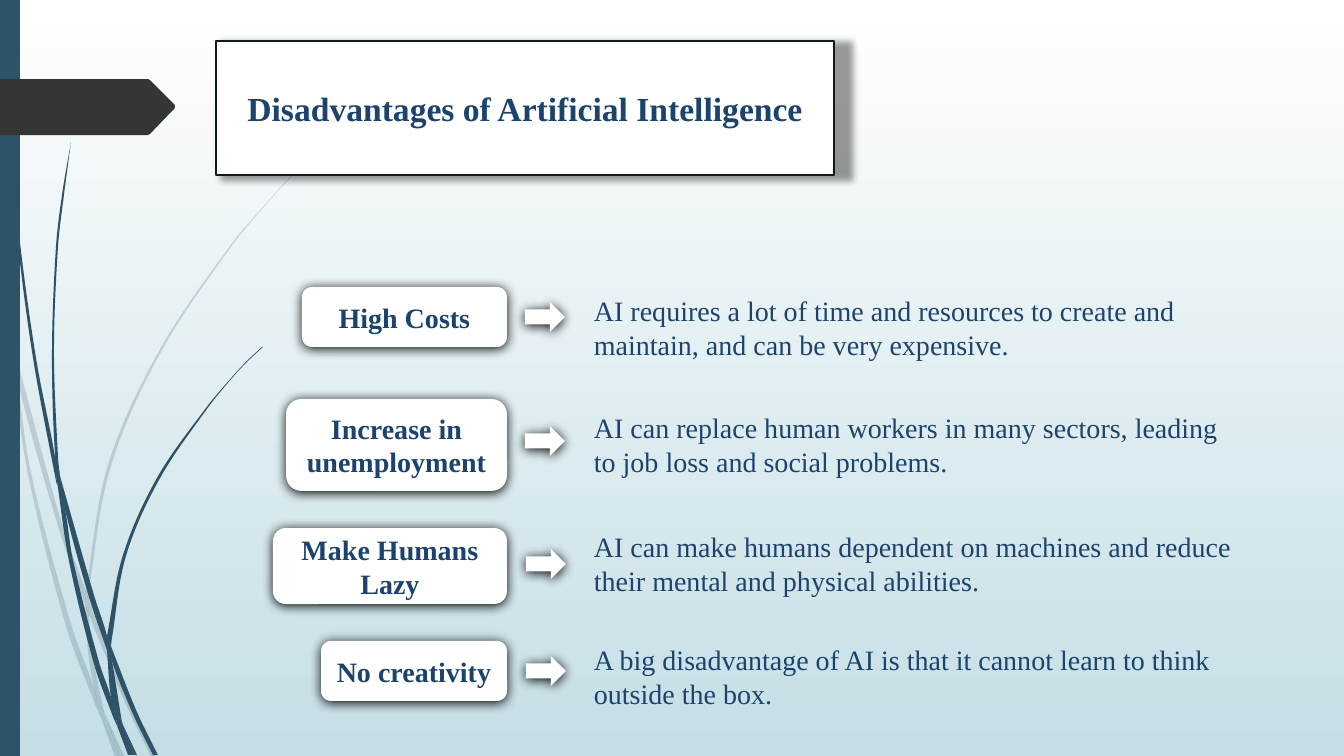
from dataclasses import dataclass
from math import dist

from lxml.etree import SubElement
from pptx import Presentation
from pptx.dml.color import RGBColor
from pptx.enum.shapes import MSO_SHAPE
from pptx.enum.text import MSO_ANCHOR, MSO_AUTO_SIZE, PP_ALIGN
from pptx.oxml.ns import qn
from pptx.util import Pt

W, H = 1344, 756
SCALE = 12192000 / W  # EMU per px


@dataclass(frozen=True)
class Theme:
    font: str = "Times New Roman"
    ink: str = "1C436D"
    grass: str = "2E5369"
    tag: str = "353535"
    outline: str = "0F1A1D"
    white: str = "FFFFFF"
    sky: str = "C5DEE5"
    title_size: int = 24
    text_size: int = 20


T = Theme()

# Pieces of grass: the left and the right edge, each from tip to root
PALE_GRASS = [
    ([(0, 301), (10, 347), (11, 353)], [(0, 284), (9, 325), (11, 353)]),
    ([(14, 348), (17, 379), (58, 526), (85, 604)], [(14, 348), (62, 524), (86, 591)]),
    ([(89, 615), (124, 700), (151, 757)],
     [(89, 601), (93, 612), (128, 698), (156, 757)]),
    ([(106, 717), (120, 757)], [(106, 717), (125, 757)]),
    ([(11, 353), (28, 474), (66, 626), (93, 699), (102, 720)],
     [(11, 353), (17, 379), (31, 473), (71, 624), (94, 688), (100, 713), (102, 720)]),
    ([(85, 604), (88, 651), (94, 688), (97, 698), (106, 717)],
     [(85, 604), (89, 613), (89, 615), (92, 651), (104, 712), (106, 717)]),
    ([(314, 154), (291, 176), (270, 199), (230, 246), (159, 351), (108, 465),
      (86, 589), (86, 591)],
     [(314, 154), (292, 176), (270, 200), (231, 247), (161, 352), (111, 466),
      (89, 589), (89, 601)]),
    ([(102, 720), (115, 757)], [(102, 720), (120, 757)]),
    ([(86, 591), (85, 604), (89, 613)], [(86, 591), (89, 601), (89, 615)]),
    ([(94, 688), (100, 713), (102, 720), (120, 757)],
     [(94, 688), (97, 698), (106, 717), (120, 757)]),
]
DARK_GRASS = [
    ([(3, 0), (4, 48), (7, 111), (17, 235), (33, 358), (56, 481), (57, 485)],
     [(4, 0), (5, 48), (8, 110), (19, 234), (36, 358), (55, 457), (57, 485)]),
    ([(60, 476), (65, 509), (89, 597), (107, 650)],
     [(60, 476), (94, 595), (107, 636), (107, 650)]),
    ([(111, 646), (112, 661), (133, 714), (153, 755)],
     [(111, 646), (114, 654), (137, 712), (158, 755)]),
    ([(57, 481), (69, 561), (94, 664), (112, 714), (118, 728)],
     [(57, 481), (65, 509), (73, 560), (99, 662), (111, 697), (117, 723), (118, 728)]),
    ([(71, 142), (62, 195), (56, 247), (52, 352), (55, 453), (60, 476)],
     [(71, 142), (64, 195), (58, 247), (54, 352), (58, 457), (60, 476)]),
    ([(123, 725), (134, 755)], [(123, 725), (137, 755)]),
    ([(55, 453), (55, 457), (57, 481), (65, 509)], [(55, 453), (60, 476), (65, 509)]),
    ([(262, 347), (247, 361), (233, 376), (206, 408), (157, 478), (123, 555),
      (107, 636)],
     [(263, 347), (247, 362), (233, 377), (207, 409), (159, 480), (126, 556),
      (112, 638), (111, 646)]),
    ([(118, 728), (128, 755)], [(118, 728), (132, 755)]),
    ([(107, 650), (111, 697), (117, 712), (123, 725)],
     [(107, 650), (110, 656), (112, 661), (122, 722), (123, 725)]),
    ([(107, 636), (107, 650), (112, 661)], [(107, 636), (111, 646), (112, 661)]),
    ([(111, 697), (117, 723), (118, 728), (131, 755)],
     [(111, 697), (117, 712), (123, 725), (134, 755)]),
]
PAGE_TAG = [(0, 79), (148, 79), (150, 80), (175, 105), (175, 108), (150, 134),
            (148, 135), (0, 135)]

# Label, its box, the arrow's corner, the top of the description, description
DRAWBACKS = [
    ("High Costs", (302, 287, 205, 60), (525, 302), 289,
     "AI requires a lot of time and resources to create and maintain, "
     "and can be very expensive."),
    ("Increase in unemployment", (286, 399, 221, 92), (525, 426), 406,
     "AI can replace human workers in many sectors, leading to job loss "
     "and social problems."),
    ("Make Humans Lazy", (273, 528, 234, 76), (526, 549), 525,
     "AI can make humans dependent on machines and reduce their mental "
     "and physical abilities."),
    ("No creativity", (321, 641, 186, 60), (526, 656), 638,
     "A big disadvantage of AI is that it cannot learn to think outside "
     "the box."),
]


def px(*lengths):
    return [round(v * SCALE) for v in lengths]


def rgb(color):
    return RGBColor.from_string(color)


def paint(sp, color):
    sp.shadow.inherit = False
    sp.fill.solid()
    sp.fill.fore_color.rgb = rgb(color)
    sp.line.fill.background()
    return sp


def add_box(s, kind, box, color):
    return paint(s.shapes.add_shape(kind, *px(*box)), color)


def add_outline(s, points, color):
    start, *rest = [px(*point) for point in points]
    builder = s.shapes.build_freeform(*start)
    builder.add_line_segments(rest, close=True)
    return paint(builder.convert_to_shape(), color)


def cast_shadow(sp, alpha=100, blur=8.5, **attrs):
    """Give the shape an outer shadow; blur in points, alpha in percent."""
    sp.shadow.inherit = False
    effects = sp._element.spPr.find(qn("a:effectLst"))
    shadow = SubElement(effects, qn("a:outerShdw"), blurRad=str(Pt(blur)),
                        rotWithShape="0", **attrs)
    black = SubElement(shadow, qn("a:srgbClr"), val="000000")
    SubElement(black, qn("a:alpha"), val=str(alpha * 1000))


def write(sp, text, size, align, bold=False, anchor=MSO_ANCHOR.MIDDLE):
    tf = sp.text_frame
    tf.word_wrap = True
    tf.auto_size = MSO_AUTO_SIZE.NONE
    tf.vertical_anchor = anchor
    p = tf.paragraphs[0]
    p.text = text
    p.alignment = align
    p.font.name, p.font.size, p.font.bold = T.font, Pt(size), bold
    p.font.color.rgb = rgb(T.ink)


def curves(edge):
    """Two handles and an end point for each smooth step along the edge."""
    ends = [edge[0], *edge, edge[-1]]
    for a, b, c, d in zip(ends, ends[1:], ends[2:], ends[3:]):
        reach = dist(b, c) / 3
        yield ([q + (r - p) * reach / dist(a, c) for p, q, r in zip(a, b, c)],
               [q - (r - p) * reach / dist(b, d) for p, q, r in zip(b, c, d)], c)


def draw_grass(s, left, right, alpha):
    sp = add_outline(s, left + right[::-1], T.grass)
    # Bend the straight steps; the one that joins the edges stays straight
    steps = sp._element.findall(".//" + qn("a:lnTo"))
    del steps[len(left) - 1]
    for step, curve in zip(steps, [*curves(left), *curves(right[::-1])]):
        step.tag = qn("a:cubicBezTo")
        step.remove(step[0])
        for point in curve:
            x, y = px(*point)
            SubElement(step, qn("a:pt"), x=str(x - sp.left), y=str(y - sp.top))
    color = sp._element.spPr.find(".//" + qn("a:srgbClr"))
    SubElement(color, qn("a:alpha"), val=str(alpha * 1000))


def draw_backdrop(s):
    # Sky fading downwards
    fill = s.background.fill
    fill.gradient()
    fill.gradient_angle = 270
    for stop, color, position in zip(fill.gradient_stops, (T.white, T.sky), (0, 1)):
        stop.color.rgb = rgb(color)
        stop.position = position
    # Grass, side bar and page tag
    for pieces, alpha in ((PALE_GRASS, 20), (DARK_GRASS, 100)):
        for left, right in pieces:
            draw_grass(s, left, right, alpha)
    add_box(s, MSO_SHAPE.RECTANGLE, (0, 0, 20, H), T.grass)
    add_outline(s, PAGE_TAG, T.tag)


def draw_title(s, box, text):
    sp = s.shapes.title
    s.shapes._spTree.append(sp._element)  # in front of the grass
    sp.left, sp.top, sp.width, sp.height = px(*box)
    paint(sp, T.white)
    sp.line.color.rgb = rgb(T.outline)
    sp.line.width = Pt(1.25)
    cast_shadow(sp, alpha=40, blur=5, sx="102000", sy="102000", algn="tl")
    write(sp, text, T.title_size, PP_ALIGN.CENTER, bold=True)


def draw_drawback(s, label, box, arrow_at, text_top, text):
    card = add_box(s, MSO_SHAPE.ROUNDED_RECTANGLE, box, T.white)
    write(card, label, T.text_size, PP_ALIGN.CENTER, bold=True)
    arrow = add_box(s, MSO_SHAPE.RIGHT_ARROW, (*arrow_at, 40, 30), T.white)
    for sp in (card, arrow):
        cast_shadow(sp, dist=str(Pt(1)), dir="5400000", algn="ctr")
    note = s.shapes.add_textbox(*px(584, text_top, 672, 78))
    write(note, text, T.text_size, PP_ALIGN.LEFT, anchor=MSO_ANCHOR.TOP)


def main():
    prs = Presentation()
    prs.slide_width, prs.slide_height = px(W, H)
    s = prs.slides.add_slide(prs.slide_layouts[5])
    draw_backdrop(s)
    draw_title(s, (216, 41, 618, 134), "Disadvantages of Artificial Intelligence")
    for drawback in DRAWBACKS:
        draw_drawback(s, *drawback)
    prs.save("out.pptx")


if __name__ == "__main__":
    main()
